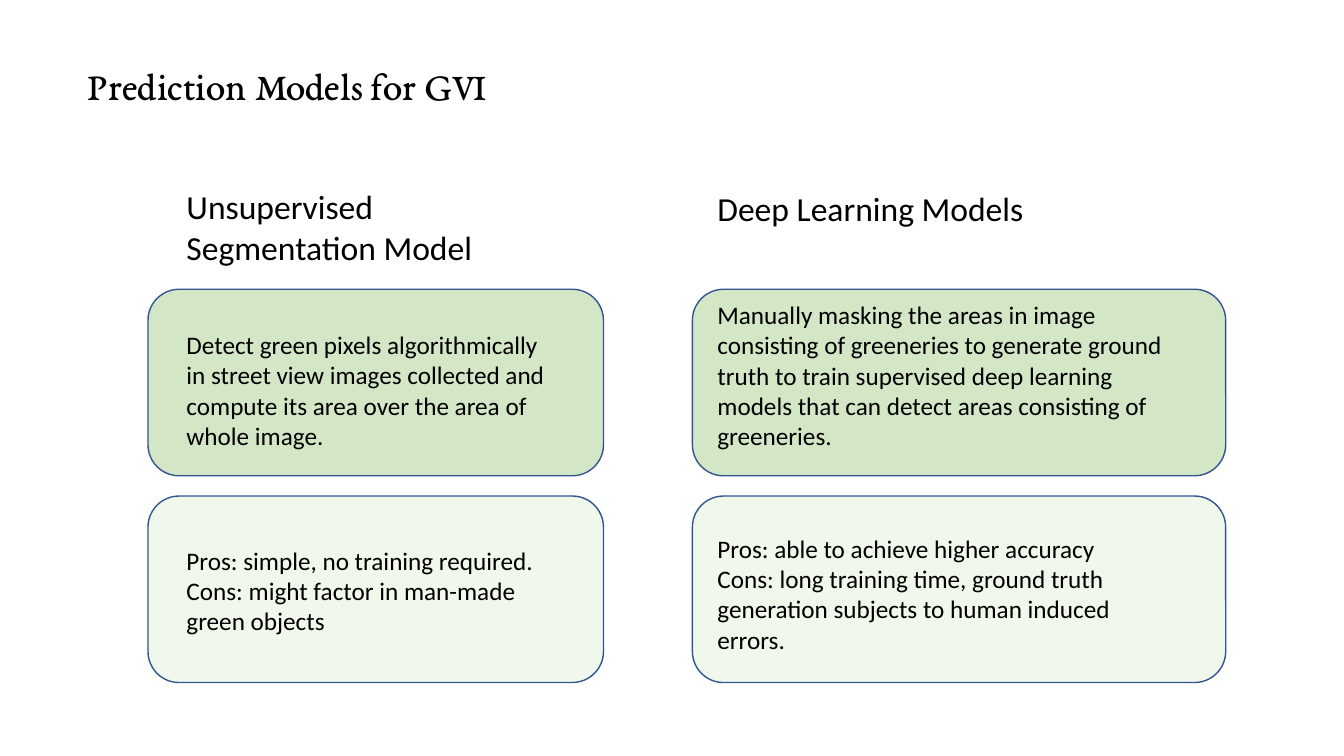
from dataclasses import dataclass

import lxml.etree
import pptx
import pptx.dml.color
import pptx.enum.shapes
import pptx.enum.text
import pptx.oxml.ns
import pptx.presentation
import pptx.shapes.autoshape
import pptx.slide
import pptx.util

Cm = pptx.util.Cm
RGBColor = pptx.dml.color.RGBColor

BLACK = RGBColor(0x00, 0x00, 0x00)
OUTLINE = RGBColor(0x32, 0x54, 0x91)
METHOD_GREEN = RGBColor(0xA9, 0xD1, 0x8E)
VERDICT_GREEN = RGBColor(0xE2, 0xF0, 0xD9)

CARD_HEIGHT = 4.7
METHOD_TOP = 7.29
VERDICT_TOP = 12.5


@dataclass(frozen=True)
class Passage:
    text: str
    top: float
    width: float
    height: float
    size: int = 18


@dataclass(frozen=True)
class Model:
    card_left: float
    card_width: float
    text_left: float
    passages: tuple[Passage, ...]


MODELS = (
    Model(3.73, 11.48, 4.45, (
        Passage("Unsupervised Segmentation Model", 4.57, 9.86, 2.3, 24),
        Passage("Detect green pixels algorithmically in street view images "
                "collected and compute its area over the area of whole image.",
                8.18, 9.86, 3.35),
        Passage("Pros: simple, no training required.\n"
                "Cons: might factor in man-made green objects",
                13.61, 9.86, 2.6),
    )),
    Model(17.45, 13.44, 17.83, (
        Passage("Deep Learning Models", 4.6, 12.27, 1.3, 24),
        Passage("Manually masking the areas in image consisting of greeneries "
                "to generate ground truth to train supervised deep learning "
                "models that can detect areas consisting of greeneries.",
                7.42, 12.27, 4.13),
        Passage("Pros: able to achieve higher accuracy\n"
                "Cons: long training time, ground truth generation subjects "
                "to human induced errors.",
                13.31, 10.62, 3.33),
    )),
)


def add_text(page: pptx.slide.Slide, text: str, *, left: float, top: float,
             width: float, height: float, size: int,
             font: str = "Calibri") -> None:
    box = page.shapes.add_textbox(Cm(left), Cm(top), Cm(width), Cm(height))
    frame = box.text_frame
    frame.word_wrap = True
    frame.auto_size = pptx.enum.text.MSO_AUTO_SIZE.SHAPE_TO_FIT_TEXT
    frame.text = text
    for para in frame.paragraphs:
        for span in para.runs:
            span.font.name = font
            span.font.size = pptx.util.Pt(size)
            span.font.color.rgb = BLACK


def set_opacity(card: pptx.shapes.autoshape.Shape, percent: int) -> None:
    qualify = pptx.oxml.ns.qn
    color = card.fill._xPr.find(qualify("a:solidFill"))[0]
    alpha = lxml.etree.SubElement(color, qualify("a:alpha"))
    alpha.set("val", str(percent * 1000))


def add_card(page: pptx.slide.Slide, model: Model, top: float,
             color: RGBColor) -> None:
    card = page.shapes.add_shape(
        pptx.enum.shapes.MSO_SHAPE.ROUNDED_RECTANGLE,
        Cm(model.card_left), Cm(top), Cm(model.card_width), Cm(CARD_HEIGHT))
    card.shadow.inherit = False
    card.fill.solid()
    card.fill.fore_color.rgb = color
    set_opacity(card, 50)
    card.line.color.rgb = OUTLINE
    card.line.width = pptx.util.Pt(1)


def add_model(page: pptx.slide.Slide, model: Model) -> None:
    add_card(page, model, METHOD_TOP, METHOD_GREEN)
    add_card(page, model, VERDICT_TOP, VERDICT_GREEN)
    for passage in model.passages:
        add_text(page, passage.text, left=model.text_left, top=passage.top,
                 width=passage.width, height=passage.height,
                 size=passage.size)


def main() -> None:
    deck = pptx.Presentation()
    deck.slide_width = Cm(33.87)
    deck.slide_height = Cm(19.05)
    page = deck.slides.add_slide(deck.slide_layouts[6])
    add_text(page, "Prediction Models for GVI", left=1.96, top=1.42,
             width=22.02, height=1.45, size=28, font="EB Garamond")
    for model in MODELS:
        add_model(page, model)
    deck.save("out.pptx")


if __name__ == "__main__":
    main()
